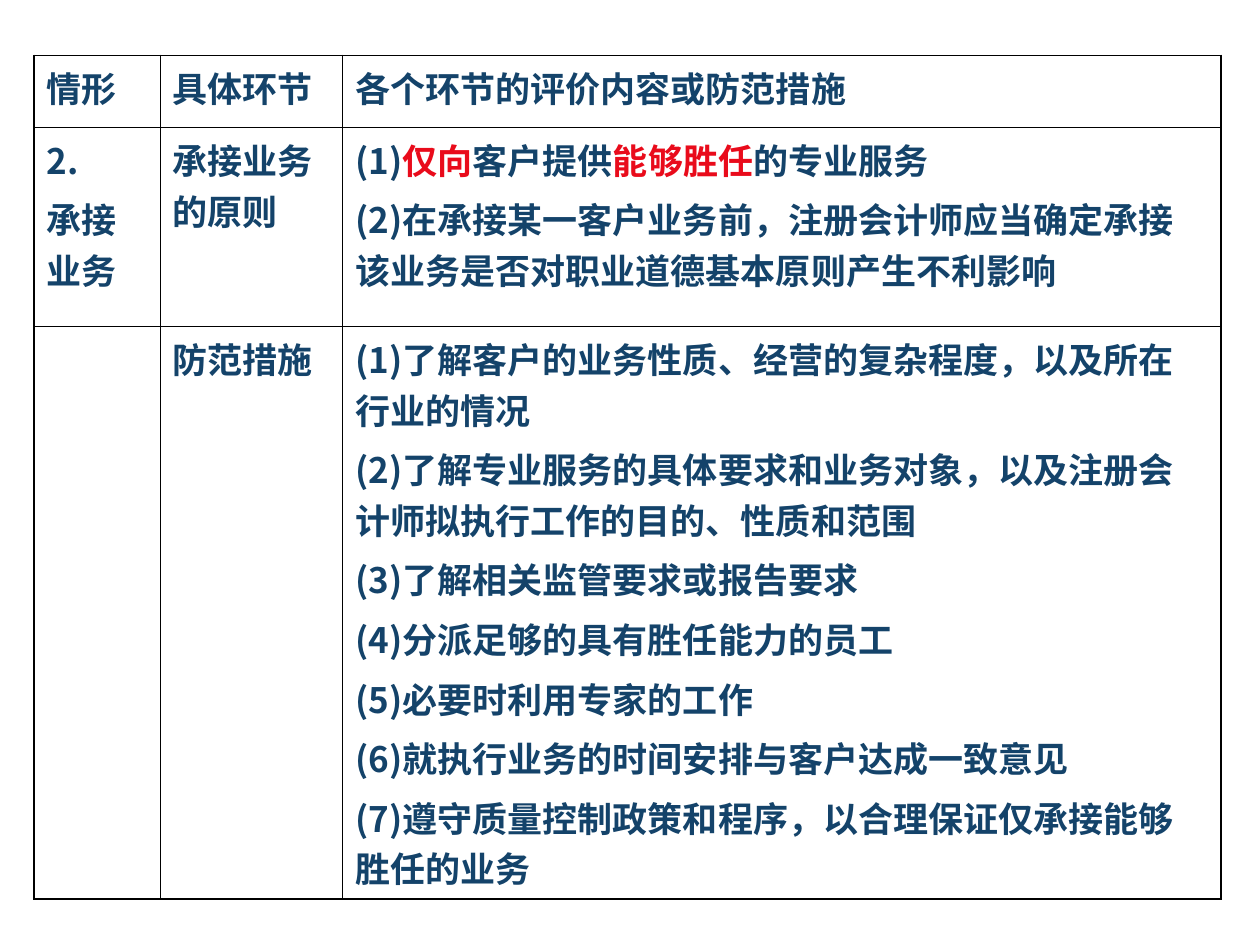
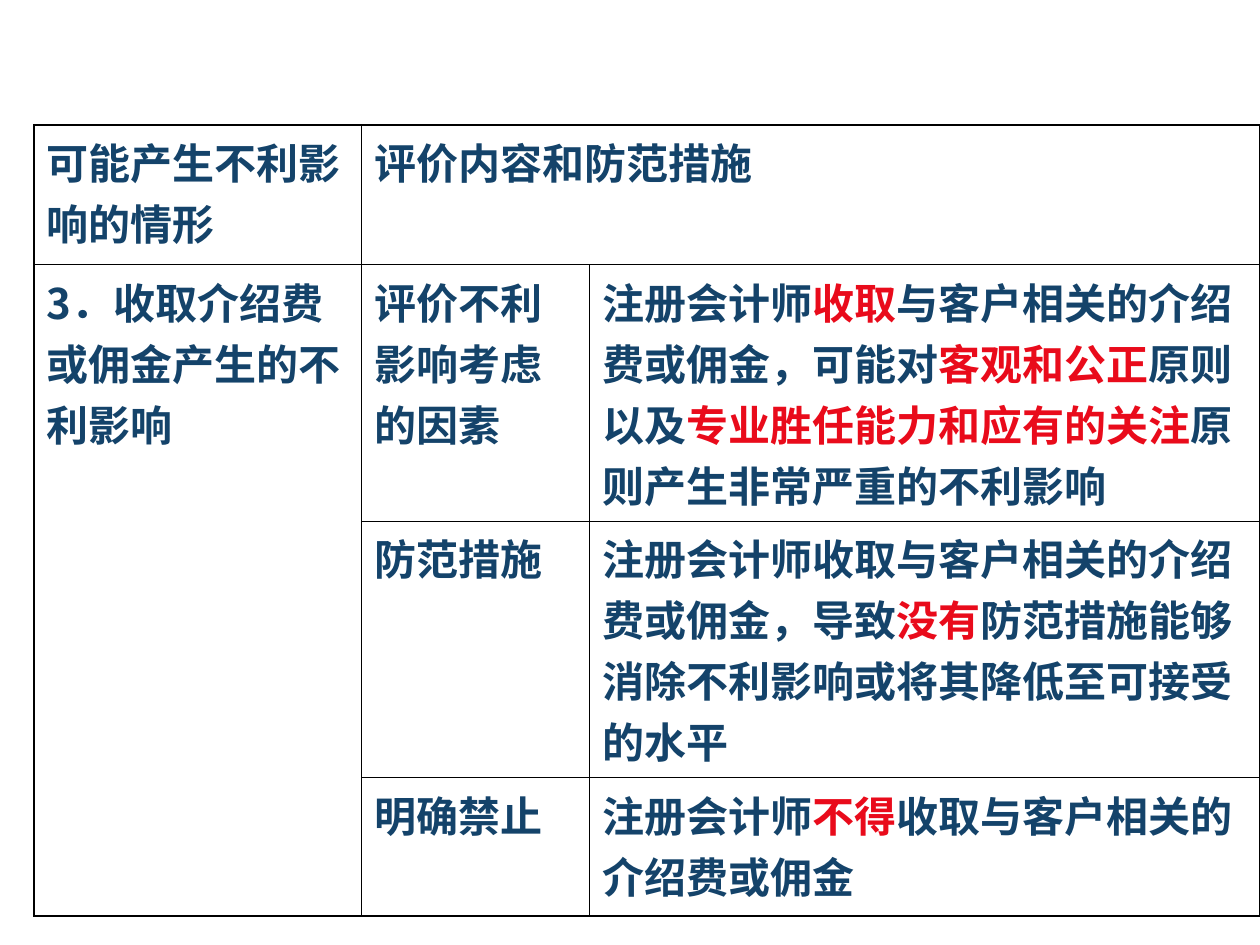
"""Build two slides of bordered tables on accepting engagements and referral fees."""
from dataclasses import dataclass

from lxml import etree
from pptx import Presentation
from pptx.dml.color import RGBColor
from pptx.oxml.ns import qn
from pptx.util import Emu, Pt

EMU_PER_PX = 9144
FONT_NAME = "Noto Sans CJK SC"
TEXT_COLOR = "14436A"
EMPHASIS_COLOR = "E90B1B"
BORDER_COLOR = "000000"
OUTER_WIDTH = 1.08
INNER_WIDTH = 0.45
EMPHASIS_MARK = "*"


@dataclass(frozen=True)
class Entry:
    """Text of one cell, with emphasis between asterisks, and the cell's span."""
    row: int
    column: int
    paragraphs: tuple[str, ...]
    row_span: int = 1
    column_span: int = 1


@dataclass(frozen=True)
class TablePage:
    """One slide holding one table."""
    left: int
    top: int
    column_widths: tuple[int, ...]
    row_heights: tuple[int, ...]
    font_size: int
    space_before: int
    entries: tuple[Entry, ...]


PAGES = (
    TablePage(27, 44, (100, 145, 697), (57, 158, 420), 20, 5, (
        Entry(0, 0, ("情形",)),
        Entry(0, 1, ("具体环节",)),
        Entry(0, 2, ("各个环节的评价内容或防范措施",)),
        Entry(1, 0, ("2.", "承接业务")),
        Entry(1, 1, ("承接业务的原则",)),
        Entry(1, 2, (
            "(1)*仅向*客户提供*能够胜任*的专业服务",
            "(2)在承接某一客户业务前，注册会计师应当确定承接该业务是否对职业道德基本原则产生不利影响",
        )),
        Entry(2, 0, ()),
        Entry(2, 1, ("防范措施",)),
        Entry(2, 2, (
            "(1)了解客户的业务性质、经营的复杂程度，以及所在行业的情况",
            "(2)了解专业服务的具体要求和业务对象，以及注册会计师拟执行工作的目的、性质和范围",
            "(3)了解相关监管要求或报告要求",
            "(4)分派足够的具有胜任能力的员工",
            "(5)必要时利用专家的工作",
            "(6)就执行业务的时间安排与客户达成一致意见",
            "(7)遵守质量控制政策和程序，以合理保证仅承接能够胜任的业务",
        )),
    )),
    TablePage(27, 99, (260, 181, 532), (111, 180, 170, 110), 24, 6, (
        Entry(0, 0, ("可能产生不利影响的情形",)),
        Entry(0, 1, ("评价内容和防范措施",), column_span=2),
        Entry(1, 0, ("3．收取介绍费或佣金产生的不利影响",), row_span=3),
        Entry(1, 1, ("评价不利影响考虑的因素",)),
        Entry(1, 2, (
            "注册会计师*收取*与客户相关的介绍费或佣金，可能对*客观和公正*原则以及"
            "*专业胜任能力和应有的关注*原则产生非常严重的不利影响",
        )),
        Entry(2, 1, ("防范措施",)),
        Entry(2, 2, (
            "注册会计师收取与客户相关的介绍费或佣金，导致*没有*防范措施能够消除不利影响"
            "或将其降低至可接受的水平",
        )),
        Entry(3, 1, ("明确禁止",)),
        Entry(3, 2, ("注册会计师*不得*收取与客户相关的介绍费或佣金",)),
    )),
)


def px(length: int) -> Emu:
    """Turn a length in px into EMU."""
    return Emu(length * EMU_PER_PX)


def color(value: str) -> RGBColor:
    """Turn a hex string into a colour."""
    return RGBColor.from_string(value)


def add_text(paragraph, text: str, font_size: int) -> None:
    """Add runs to a paragraph, alternating plain and emphasised text."""
    for index, part in enumerate(text.split(EMPHASIS_MARK)):
        run = paragraph.add_run()
        run.text = part
        run.font.name = FONT_NAME
        run.font.size = Pt(font_size)
        run.font.bold = True
        run.font.color.rgb = color(EMPHASIS_COLOR if index % 2 else TEXT_COLOR)
        east_asian = etree.SubElement(run.font._element, qn("a:ea"))
        east_asian.set("typeface", FONT_NAME)


def set_borders(cell, entry: Entry, page: TablePage) -> None:
    """Draw thick lines on the table's edge and thin ones inside it."""
    outer_sides = {
        "lnL": entry.column == 0,
        "lnR": entry.column + entry.column_span == len(page.column_widths),
        "lnT": entry.row == 0,
        "lnB": entry.row + entry.row_span == len(page.row_heights),
    }
    properties = cell._tc.get_or_add_tcPr()
    for side, is_outer in outer_sides.items():
        width = Pt(OUTER_WIDTH if is_outer else INNER_WIDTH)
        line = etree.SubElement(properties, qn(f"a:{side}"), w=str(width))
        fill = etree.SubElement(line, qn("a:solidFill"))
        etree.SubElement(fill, qn("a:srgbClr"), val=BORDER_COLOR)


def fill_cell(table, entry: Entry, page: TablePage) -> None:
    """Merge, border and write one cell."""
    cell = table.cell(entry.row, entry.column)
    if entry.row_span > 1 or entry.column_span > 1:
        cell.merge(table.cell(entry.row + entry.row_span - 1,
                              entry.column + entry.column_span - 1))
    set_borders(cell, entry, page)
    text_frame = cell.text_frame
    for index, text in enumerate(entry.paragraphs):
        paragraph = text_frame.add_paragraph() if index else text_frame.paragraphs[0]
        paragraph.space_before = Pt(page.space_before if index else 0)
        add_text(paragraph, text, page.font_size)


def add_table_page(presentation, page: TablePage) -> None:
    """Add one slide with its table."""
    slide = presentation.slides.add_slide(presentation.slide_layouts[6])
    table = slide.shapes.add_table(
        len(page.row_heights), len(page.column_widths), px(page.left), px(page.top),
        px(sum(page.column_widths)), px(sum(page.row_heights))).table
    table.first_row = False
    table.horz_banding = False
    for column, width in zip(table.columns, page.column_widths):
        column.width = px(width)
    for row, height in zip(table.rows, page.row_heights):
        row.height = px(height)
    for entry in page.entries:
        fill_cell(table, entry, page)
    for cell in table.iter_cells():
        cell.fill.background()


def main() -> None:
    """Build and save the presentation."""
    presentation = Presentation()
    presentation.slide_width = px(1000)
    presentation.slide_height = px(750)
    for page in PAGES:
        add_table_page(presentation, page)
    presentation.save("out.pptx")


if __name__ == "__main__":
    main()
